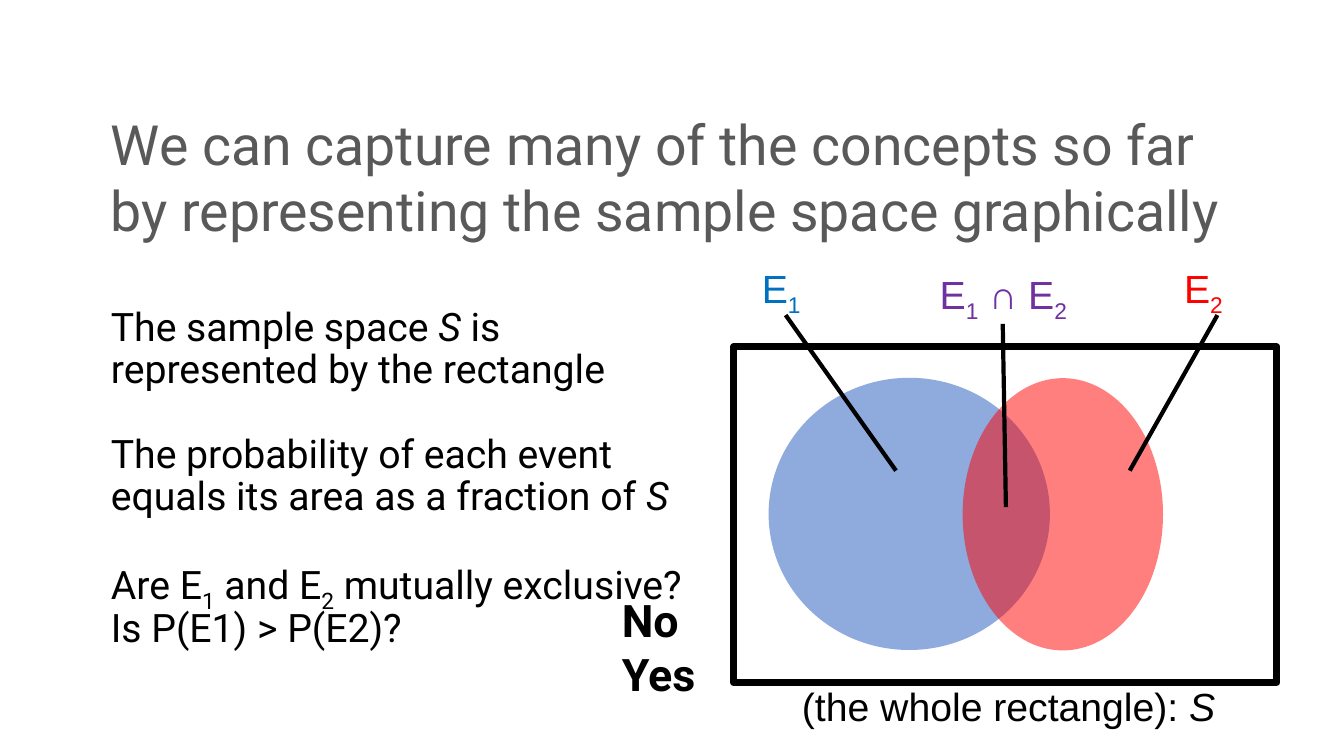
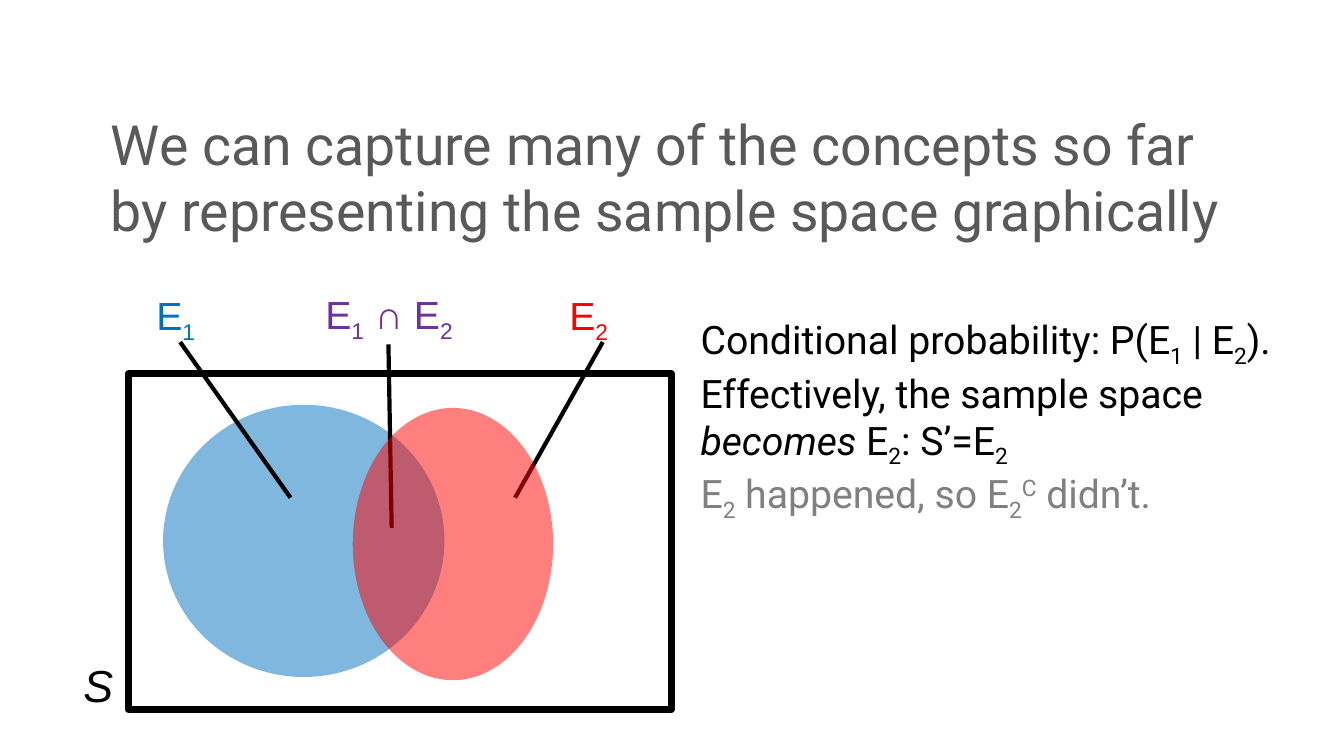
from dataclasses import dataclass

import lxml.etree
import pptx
import pptx.dml.color
import pptx.enum.shapes
import pptx.enum.text
import pptx.oxml.ns
import pptx.util

Cm = pptx.util.Cm
Pt = pptx.util.Pt
SHAPES = pptx.enum.shapes.MSO_SHAPE
ALIGN = pptx.enum.text.PP_ALIGN

# Shared style
COLORS = {
    "title": "595959",
    "text": "000000",
    "muted": "808080",
    "periwinkle": "8FAADC",
    "blue": "0070C0",
    "red": "FF0000",
    "purple": "7030A0",
}
TITLE = "We can capture many of the concepts so far by representing the sample space graphically"
TITLE_BOX = (2.54, 2.54, 29.21, 3.81)
TEXT_FONT = "Roboto"
DIAGRAM_FONT = "Arial"

Point = tuple[float, float]
Box = tuple[float, float, float, float]


@dataclass(frozen=True)
class Piece:
    text: str
    baseline: int = 0
    italic: bool = False


@dataclass(frozen=True)
class Line:
    pieces: tuple[Piece, ...]
    color: str = "text"
    space_before: float = 0


@dataclass(frozen=True)
class TextStyle:
    font: str
    size: float
    bold: bool = False
    align: ALIGN = ALIGN.LEFT
    spacing: float = 1.0


@dataclass(frozen=True)
class Callout:
    """Label and pointer, measured from the corner of the sample space."""
    label: Line
    label_at: Point
    label_width: float
    start: Point
    end: Point
    align: ALIGN = ALIGN.LEFT


@dataclass(frozen=True)
class Venn:
    corner: Point
    e1_color: str
    e1_alpha: int
    e2_at: Point
    e2_in_front: bool
    shifts: tuple[Point, Point, Point]  # one per callout


def plain(text: str) -> Piece:
    return Piece(text)


def sub(text: str) -> Piece:
    return Piece(text, baseline=-25)


def italic(text: str) -> Piece:
    return Piece(text, italic=True)


# Diagram measures, in centimetres
SPACE_SIZE = (13.69, 8.46)
E1_AT, E1_SIZE = (0.88, 0.78), (7.09, 6.86)
E2_SIZE = (5.05, 6.86)
LABEL_HEIGHT = 1.45
CALLOUTS = (
    Callout(Line((plain("E"), sub("1")), "blue"),
            (0.46, -2.2), 1.55, (1.31, -0.8), (4.09, 3.12)),
    Callout(Line((plain("E"), sub("1"), plain(" ∩ E"), sub("2")), "purple"),
            (4.09, -2.06), 5.41, (6.78, -0.58), (6.86, 4.04), ALIGN.CENTER),
    Callout(Line((plain("E"), sub("2")), "red"),
            (11.1, -2.2), 1.73, (12.19, -0.8), (9.98, 3.12)),
)

# Content of each slide
GRAPHIC_VENN = Venn((18.49, 8.74), "periwinkle", 100, (5.77, 0.79), False,
                    ((0, 0), (0, 0), (0, 0)))
CONDITIONAL_VENN = Venn((3.23, 9.42), "blue", 50, (5.66, 0.86), True,
                        ((0, 0), (-0.22, -0.16), (-0.23, 0)))
GRAPHIC_POINTS = (
    Line((plain("The sample space "), italic("S"), plain(" is represented by the rectangle"))),
    Line((plain("The probability of each event equals its area as a fraction of "), italic("S")),
         space_before=30),
    Line((plain("Are E"), sub("1"), plain(" and E"), sub("2"), plain(" mutually exclusive?")),
         space_before=30),
    Line((plain("Is P(E1) > P(E2)?"),)),
)
CONDITIONAL_POINTS = (
    Line((plain("Conditional probability: P(E"), sub("1"), plain(" | E"), sub("2"),
          plain("). Effectively, the sample space "), italic("becomes"), plain(" E"), sub("2"),
          plain(": S’=E"), sub("2"))),
    Line((plain("E"), sub("2"), plain(" happened, so E"), sub("2"), Piece("C", baseline=30),
          plain(" didn’t.")), "muted"),
)


def rgb(name: str) -> pptx.dml.color.RGBColor:
    return pptx.dml.color.RGBColor.from_string(COLORS[name])


def offset(base: Point, delta: Point) -> Point:
    return base[0] + delta[0], base[1] + delta[1]


def lengths(values: tuple[float, ...]) -> list[pptx.util.Length]:
    return [Cm(value) for value in values]


# Text
def write_lines(frame, lines: tuple[Line, ...], style: TextStyle) -> None:
    frame.word_wrap = True
    frame.auto_size = pptx.enum.text.MSO_AUTO_SIZE.NONE
    for index, line in enumerate(lines):
        paragraph = frame.paragraphs[0] if index == 0 else frame.add_paragraph()
        properties = paragraph._p.get_or_add_pPr()
        properties.set("marL", "0")
        properties.set("indent", "0")
        lxml.etree.SubElement(properties, pptx.oxml.ns.qn("a:buNone"))
        paragraph.alignment = style.align
        paragraph.line_spacing = style.spacing
        paragraph.space_before = Pt(line.space_before)
        paragraph.space_after = Pt(0)
        paragraph.text = line.pieces[0].text
        for piece in line.pieces[1:]:
            paragraph.add_run().text = piece.text
        for run, piece in zip(paragraph.runs, line.pieces):
            run.font.name = style.font
            run.font.size = Pt(style.size)
            run.font.bold = style.bold
            run.font.italic = piece.italic
            run.font.color.rgb = rgb(line.color)
            if piece.baseline:
                run._r.get_or_add_rPr().set("baseline", str(piece.baseline * 1000))


def fill_placeholder(holder, box: Box, lines: tuple[Line, ...], style: TextStyle) -> None:
    holder.left, holder.top, holder.width, holder.height = lengths(box)
    write_lines(holder.text_frame, lines, style)


def add_text(slide, box: Box, lines: tuple[Line, ...], style: TextStyle) -> None:
    write_lines(slide.shapes.add_textbox(*lengths(box)).text_frame, lines, style)


# Diagram
def add_region(slide, at: Point, size: Point, color: str, alpha: int) -> None:
    region = slide.shapes.add_shape(SHAPES.OVAL, *lengths(at + size))
    region.shadow.inherit = False
    region.line.fill.background()
    region.fill.solid()
    region.fill.fore_color.rgb = rgb(color)
    if alpha < 100:
        tint = region._element.spPr.find(".//" + pptx.oxml.ns.qn("a:srgbClr"))
        lxml.etree.SubElement(tint, pptx.oxml.ns.qn("a:alpha"), val=str(alpha * 1000))


def add_sample_space(slide, corner: Point) -> None:
    space = slide.shapes.add_shape(SHAPES.RECTANGLE, *lengths(corner + SPACE_SIZE))
    space.shadow.inherit = False
    space.fill.background()
    space.line.color.rgb = rgb("text")
    space.line.width = Pt(5)


def add_callout(slide, callout: Callout, corner: Point) -> None:
    label_box = offset(corner, callout.label_at) + (callout.label_width, LABEL_HEIGHT)
    add_text(slide, label_box, (callout.label,),
             TextStyle(DIAGRAM_FONT, 28, align=callout.align))
    ends = offset(corner, callout.start) + offset(corner, callout.end)
    pointer = slide.shapes.add_connector(
        pptx.enum.shapes.MSO_CONNECTOR.STRAIGHT, *lengths(ends))
    pointer.line.color.rgb = rgb("text")
    pointer.line.width = Pt(3)
    lxml.etree.SubElement(pointer._element.spPr, pptx.oxml.ns.qn("a:effectLst"))


def add_venn(slide, venn: Venn) -> None:
    e2 = (offset(venn.corner, venn.e2_at), E2_SIZE, "red", 50)
    add_sample_space(slide, venn.corner)
    add_region(slide, offset(venn.corner, E1_AT), E1_SIZE, venn.e1_color, venn.e1_alpha)
    if not venn.e2_in_front:
        add_region(slide, *e2)
    for callout, shift in zip(CALLOUTS, venn.shifts):
        add_callout(slide, callout, offset(venn.corner, shift))
    if venn.e2_in_front:
        add_region(slide, *e2)


# Slides
def add_concept_slide(deck, points: tuple[Line, ...], points_box: Box,
                      spacing: float, venn: Venn):
    slide = deck.slides.add_slide(deck.slide_layouts[1])
    heading = slide.shapes.title
    fill_placeholder(heading, TITLE_BOX, (Line((plain(TITLE),), "title"),),
                     TextStyle(TEXT_FONT, 39.6))
    heading.text_frame.vertical_anchor = pptx.enum.text.MSO_ANCHOR.MIDDLE
    fill_placeholder(slide.placeholders[1], points_box, points,
                     TextStyle(TEXT_FONT, 28, spacing=spacing))
    add_venn(slide, venn)
    return slide


def main() -> None:
    deck = pptx.Presentation()
    deck.slide_width, deck.slide_height = Cm(33.87), Cm(19.05)

    # The sample space as a picture
    graphic = add_concept_slide(deck, GRAPHIC_POINTS, (2.54, 7.62, 14.99, 10.57),
                                0.9, GRAPHIC_VENN)
    add_text(graphic, (19.96, 17.07, 11.4, LABEL_HEIGHT),
             (Line((plain("(the whole rectangle): "), italic("S"))),),
             TextStyle(DIAGRAM_FONT, 28))
    add_text(graphic, (15.42, 14.81, 2.6, 3),
             (Line((plain("No"),)), Line((plain("Yes"),))),
             TextStyle(TEXT_FONT, 32, bold=True))

    # Conditional probability
    conditional = add_concept_slide(deck, CONDITIONAL_POINTS, (17.4, 7.82, 15.67, 10.57),
                                    1.0, CONDITIONAL_VENN)
    add_text(conditional, (1.85, 16.46, 1.4, 1.63), (Line((italic("S"),)),),
             TextStyle(DIAGRAM_FONT, 32))

    deck.save("out.pptx")


if __name__ == "__main__":
    main()
